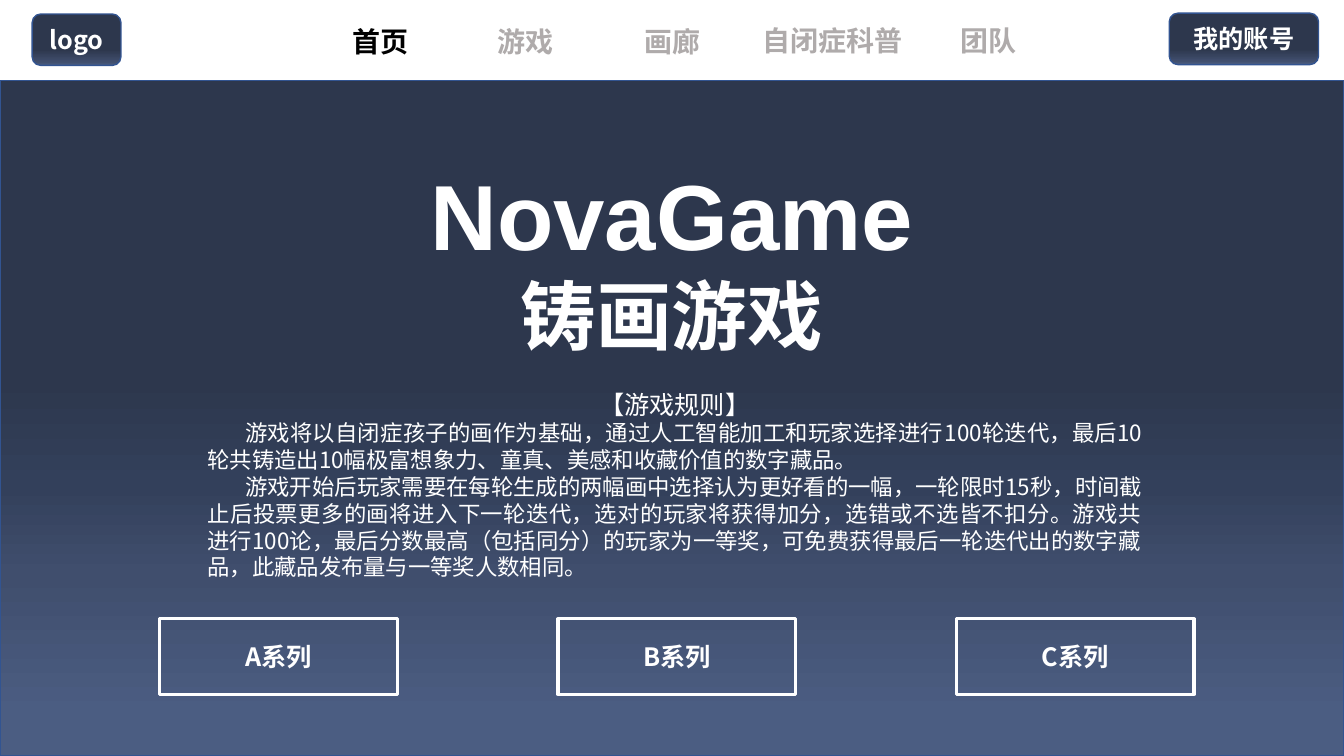
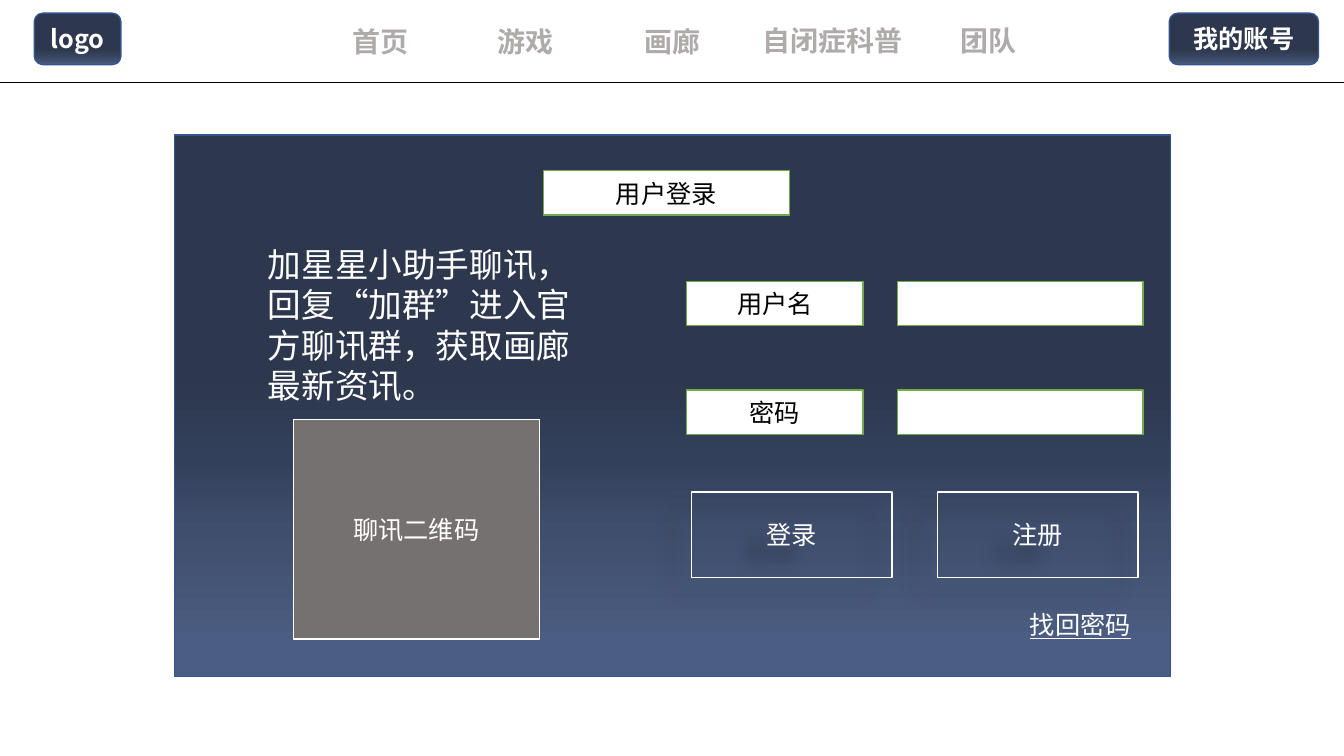
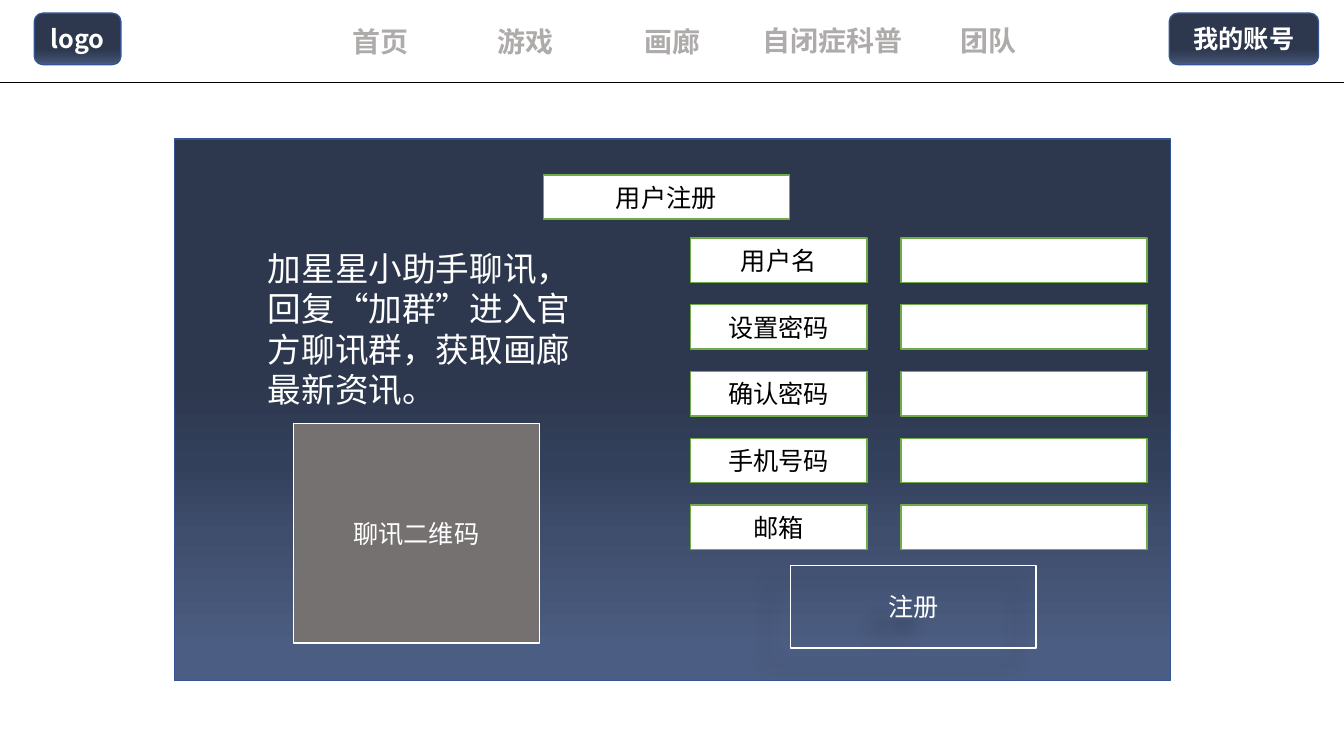
from dataclasses import dataclass

from lxml import etree
from pptx import Presentation
from pptx.dml.color import RGBColor
from pptx.enum.shapes import MSO_CONNECTOR, MSO_SHAPE
from pptx.enum.text import MSO_ANCHOR, PP_ALIGN
from pptx.oxml.ns import qn
from pptx.util import Pt

RECTANGLE, ROUNDED = MSO_SHAPE.RECTANGLE, MSO_SHAPE.ROUNDED_RECTANGLE
STRAIGHT = MSO_CONNECTOR.STRAIGHT
LEFT, CENTER, JUSTIFY = PP_ALIGN.LEFT, PP_ALIGN.CENTER, PP_ALIGN.JUSTIFY
TOP, MIDDLE = MSO_ANCHOR.TOP, MSO_ANCHOR.MIDDLE


@dataclass(frozen=True)
class Theme:
    # Colours
    white: str = "FFFFFF"
    black: str = "000000"
    muted: str = "AFABAB"
    gray: str = "767171"
    green: str = "70AD47"
    blue: str = "325491"
    panel_stops: tuple = ((44, "2D374D"), (60, "33405B"), (73, "404E6D"), (94, "4B5D82"))
    badge_stops: tuple = ((70, "2D374D"), (93, "404E6D"), (100, "4B5D82"))
    # Type
    font: str = "Noto Sans CJK SC"
    latin_font: str = "Arial"
    hero: int = 66
    subtitle: int = 54
    lead: int = 24
    nav: int = 20
    body: int = 18
    small: int = 16
    leading: float = 1.2


THEME = Theme()
WIDTH, HEIGHT = 960, 540
NAVIGATION = (  # label, left, top, width
    ("首页", 218.2, 10.8, 106.6),
    ("游戏", 321.8, 10.8, 106.6),
    ("画廊", 427, 10.8, 106.6),
    ("自闭症科普", 535.7, 10.1, 118),
    ("团队", 653, 10.1, 106.6),
)
HELP_TEXT = "加星星小助手聊讯，回复“加群”进入官方聊讯群，获取画廊最新资讯。"
RULES = (
    "游戏将以自闭症孩子的画作为基础，通过人工智能加工和玩家选择进行100轮迭代，"
    "最后10轮共铸造出10幅极富想象力、童真、美感和收藏价值的数字藏品。",
    "游戏开始后玩家需要在每轮生成的两幅画中选择认为更好看的一幅，一轮限时15秒，"
    "时间截止后投票更多的画将进入下一轮迭代，选对的玩家将获得加分，选错或不选皆不扣分。"
    "游戏共进行100论，最后分数最高（包括同分）的玩家为一等奖，"
    "可免费获得最后一轮迭代出的数字藏品，此藏品发布量与一等奖人数相同。",
)


class Deck:
    """Holds the presentation, its style and the current slide."""

    def __init__(self, theme):
        self.theme = theme
        self.presentation = Presentation()
        self.presentation.slide_width = Pt(WIDTH)
        self.presentation.slide_height = Pt(HEIGHT)
        self.slide = None

    def new_slide(self):
        self.slide = self.presentation.slides.add_slide(self.presentation.slide_layouts[6])

    # Text
    def fill_paragraph(self, paragraph, text, size, color, align=CENTER, font=None,
                       indent=0, leading=None, **formats):
        paragraph.alignment = align
        if leading:
            paragraph.line_spacing = Pt(round(size * leading, 2))
        if indent:
            paragraph._p.get_or_add_pPr().set("indent", str(Pt(indent)))
        run = paragraph.add_run()
        run.text = text
        name = font or self.theme.font
        for key, value in {"name": name, "size": Pt(size), **formats}.items():
            setattr(run.font, key, value)
        run.font.color.rgb = RGBColor.from_string(color)
        east_asian = etree.SubElement(run.font._element, qn("a:ea"))
        east_asian.set("typeface", name)

    def text(self, box, paragraphs, anchor=TOP):
        frame = self.slide.shapes.add_textbox(*map(Pt, box)).text_frame
        frame.word_wrap = True
        frame.vertical_anchor = anchor
        for index, formats in enumerate(paragraphs):
            paragraph = frame.add_paragraph() if index else frame.paragraphs[0]
            self.fill_paragraph(paragraph, **formats)

    # Shapes
    def box(self, box, label="", fill=None, stops=None, line=None, weight=1,
            color=THEME.white, kind=RECTANGLE, bold=False):
        shape = self.slide.shapes.add_shape(kind, *map(Pt, box))
        shape.shadow.inherit = False
        if stops:
            self.gradient(shape, stops)
        elif fill:
            shape.fill.solid()
            shape.fill.fore_color.rgb = RGBColor.from_string(fill)
        else:
            shape.fill.background()
        shape.line.color.rgb = RGBColor.from_string(line or self.theme.blue)
        shape.line.width = Pt(weight)
        if label:
            shape.text_frame.vertical_anchor = MIDDLE
            self.fill_paragraph(shape.text_frame.paragraphs[0], label, self.theme.body,
                                color, bold=bold)
        return shape

    def gradient(self, shape, stops):
        shape.fill.gradient()
        shape.fill.gradient_angle = 270
        stop_list = shape._element.spPr.find(qn("a:gradFill")).find(qn("a:gsLst"))
        for stop in list(stop_list):
            stop_list.remove(stop)
        for position, color in stops:
            stop = etree.SubElement(stop_list, qn("a:gs"), pos=str(position * 1000))
            etree.SubElement(stop, qn("a:srgbClr"), val=color)

    def badge(self, box, label):
        self.box(box, label, stops=self.theme.badge_stops, kind=ROUNDED, bold=True)

    def field(self, box, label=""):
        self.box(box, label, fill=self.theme.white, line=self.theme.green, color=self.theme.black)

    def shadow_button(self, box, label):
        shape = self.box(box, label, line=self.theme.white)
        effects = shape._element.spPr.find(qn("a:effectLst"))
        shadow = etree.SubElement(effects, qn("a:outerShdw"), blurRad=str(Pt(11.8)),
                                  dist=str(Pt(19.7)), dir=str(141 * 60000))
        color = etree.SubElement(shadow, qn("a:srgbClr"), val=self.theme.black)
        etree.SubElement(color, qn("a:alpha"), val="28000")

    def rule(self, top):
        line = self.slide.shapes.add_connector(STRAIGHT, Pt(0), Pt(top), Pt(WIDTH), Pt(top))
        line.line.color.rgb = RGBColor.from_string(self.theme.black)
        line.line.width = Pt(0.5)
        etree.SubElement(line._element.spPr, qn("a:effectLst"))

    # Parts shared by the slides
    def header(self, logo_box, current=None):
        self.badge(logo_box, "logo")
        for label, left, top, width in NAVIGATION:
            color = self.theme.black if label == current else self.theme.muted
            self.text((left, top, width, 36.7),
                      [dict(text=label, size=self.theme.nav, color=color, bold=True)], MIDDLE)
        self.badge((835.2, 9.4, 106.6, 36.7), "我的账号")

    def account_page(self, title, top):
        theme = self.theme
        self.new_slide()
        self.box((124.6, top, 711.4, 386.6), stops=theme.panel_stops)
        self.field((388.1, top + 25.5, 175.7, 31.7), title)
        self.text((184.3, top + 74.2, 249.1, 123.8),
                  [dict(text=HELP_TEXT, size=theme.lead, color=theme.white,
                        align=LEFT, leading=theme.leading)])
        self.box((209.5, top + 203, 175.7, 157), "聊讯二维码", fill=theme.gray, line=theme.white)
        self.header((24.5, 9.4, 61.9, 36.7))
        self.rule(59)

    def form(self, labels, left, top, pitch):
        for row, label in enumerate(labels):
            row_top = top + row * pitch
            self.field((left, row_top, 126, 31.7), label)
            self.field((left + 150.4, row_top, 175.7, 31.7))


def home_slide(deck):
    theme = deck.theme
    deck.new_slide()
    deck.box((0, 57.6, WIDTH, 482.4), stops=theme.panel_stops)
    deck.header((23, 10, 63.4, 36.7), "首页")
    # Title
    heading = dict(color=theme.white, bold=True, leading=theme.leading)
    deck.text((164.2, 109.4, 631.4, 152.6), [
        dict(text="NovaGame", size=theme.hero, font=theme.latin_font, **heading),
        dict(text="铸画游戏", size=theme.subtitle, **heading),
    ])
    # Game rules
    plain = dict(color=theme.white, leading=theme.leading)
    deck.text((141.1, 274.3, 681.8, 167), [
        dict(text="【游戏规则】", size=theme.body, **plain),
        *(dict(text=text, size=theme.small, align=JUSTIFY, indent=27, **plain)
          for text in RULES),
    ])
    # Series buttons
    for index, series in enumerate("ABC"):
        deck.box((114.2 + index * 284.4, 442.1, 169.9, 54), f"{series}系列",
                 line=theme.white, weight=2.25, bold=True)


def login_slide(deck):
    deck.account_page("用户登录", 96.5)
    deck.form(("用户名", "密码"), 490.5, 200.9, 77.6)
    for index, label in enumerate(("登录", "注册")):
        deck.shadow_button((493.9 + index * 175.7, 351.4, 143.3, 61.2), label)
    deck.text((728.6, 432, 143.3, 28.8),
              [dict(text="找回密码", size=deck.theme.body, color=deck.theme.white,
                    align=LEFT, leading=deck.theme.leading, underline=True)])


def register_slide(deck):
    deck.account_page("用户注册", 99.4)
    deck.form(("用户名", "设置密码", "确认密码", "手机号码", "邮箱"), 493.2, 170, 47.7)
    deck.shadow_button((564.5, 403.9, 175.7, 59), "注册")


def main():
    deck = Deck(THEME)
    for build in (home_slide, login_slide, register_slide):
        build(deck)
    deck.presentation.save("out.pptx")


if __name__ == "__main__":
    main()
